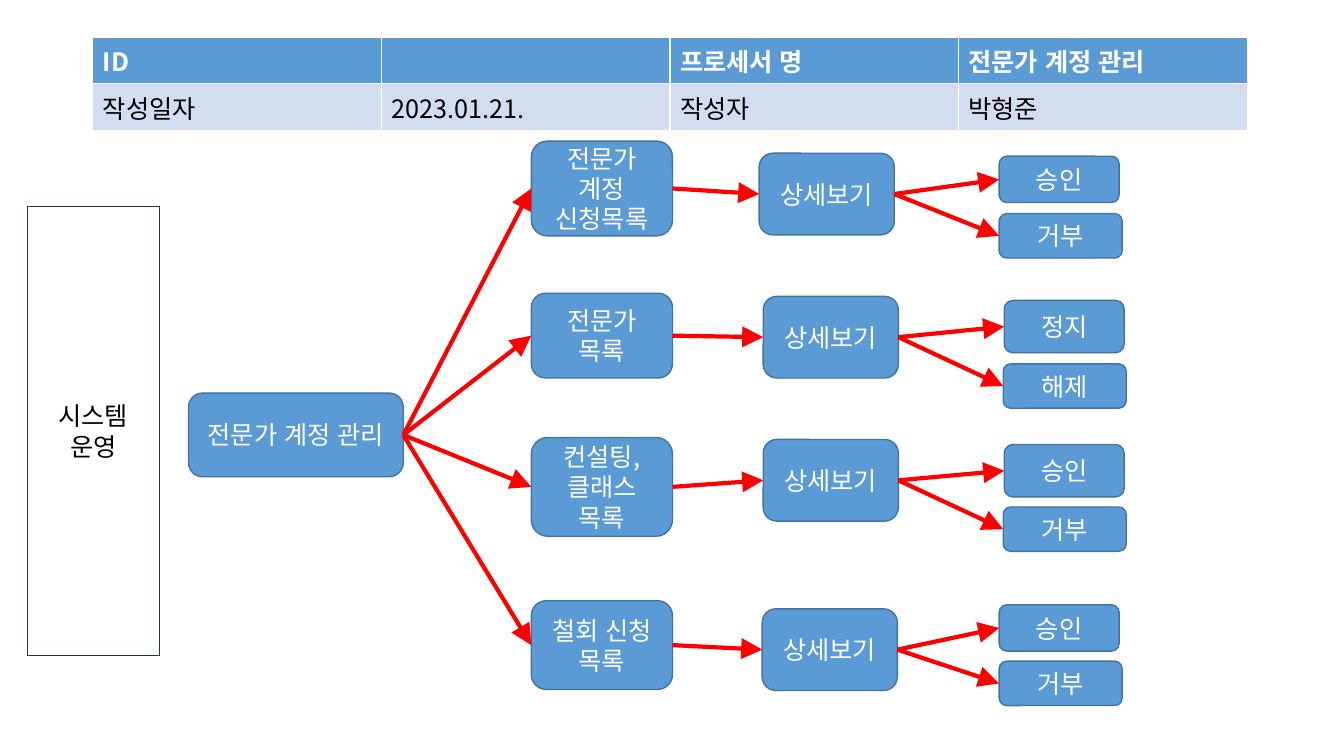
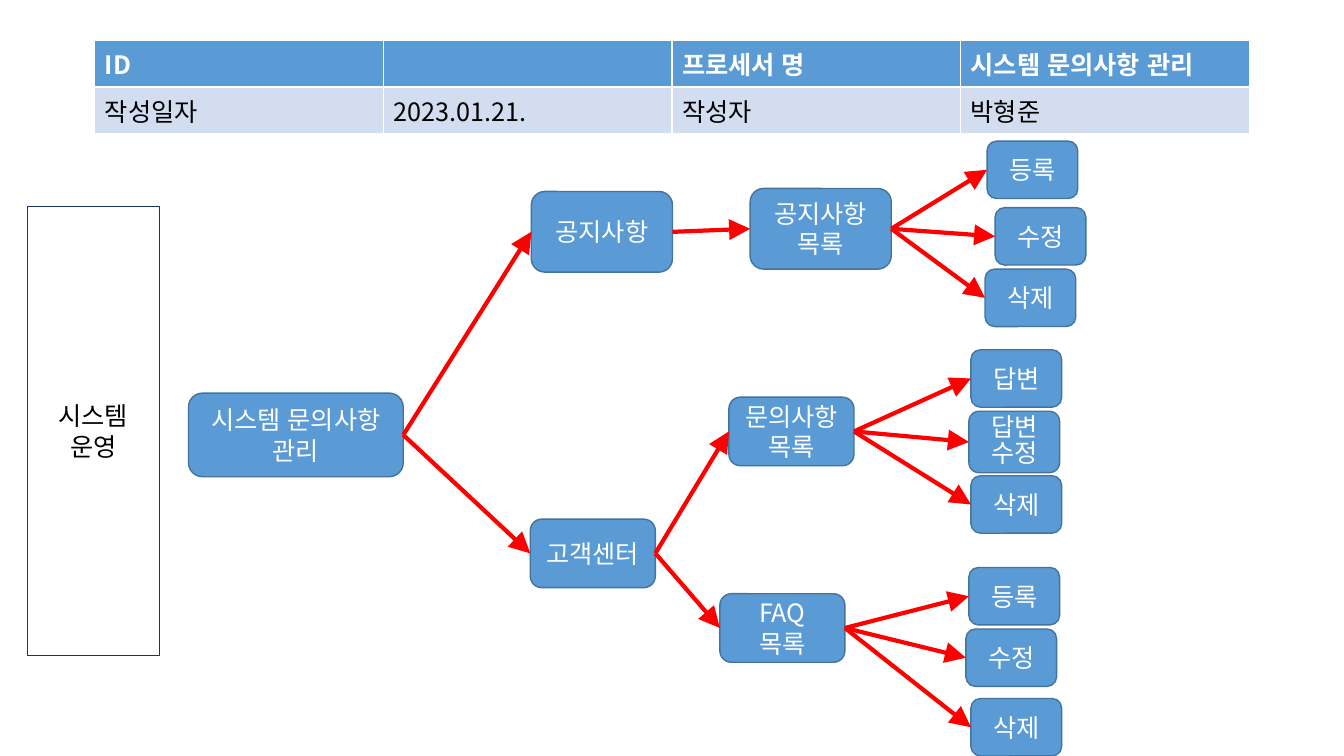
from dataclasses import dataclass

from lxml.etree import SubElement
from pptx import Presentation
from pptx.dml.color import RGBColor
from pptx.enum.lang import MSO_LANGUAGE_ID as Language
from pptx.enum.shapes import MSO_CONNECTOR as Connector, MSO_SHAPE as Shape
from pptx.enum.text import MSO_ANCHOR as Anchor, PP_ALIGN as Align
from pptx.oxml.ns import qn
from pptx.util import Inches, Pt


@dataclass(frozen=True)
class Theme:
    font: str = "Noto Sans CJK KR"
    text_size: int = 18
    white: str = "FFFFFF"
    black: str = "000000"
    blue: str = "5B9BD5"
    pale_blue: str = "D2DEEF"
    box_line: str = "43739E"
    frame_line: str = "1C335D"
    arrow: str = "FF0000"
    box_line_width: int = 1
    arrow_width: int = 3


THEME = Theme()
RIGHT_SIDE, LEFT_SIDE = 3, 1

# Box sizes: width, height
ROOT_SIZE = (2.13, 0.83)
DETAIL_SIZE = (1.34, 0.81)
REJECT_SIZE = (1.22, 0.44)
NOTICE_SIZE = (1.4, 0.8)
SUPPORT_SIZE = (1.24, 0.68)
ACTION_SIZE = (0.9, 0.57)
TWO_LINE_ACTION_SIZE = (0.9, 0.61)


@dataclass(frozen=True)
class Node:
    text: str
    left: float
    top: float
    size: tuple
    children: tuple = ()
    line_spacing: float = 1.0


def style_text(para, color, bold=False):
    font = para.font
    font.name = THEME.font
    font.size = Pt(THEME.text_size)
    font.bold = bold
    font.color.rgb = RGBColor.from_string(color)
    font.language_id = Language.KOREAN
    properties = para._p.pPr.find(qn("a:defRPr"))
    SubElement(properties, qn("a:ea"), typeface=THEME.font)


def add_box(page, kind, node, fill, line, line_width, color):
    box = page.shapes.add_shape(
        kind, *map(Inches, (node.left, node.top, *node.size)))
    box.shadow.inherit = False
    box.fill.solid()
    box.fill.fore_color.rgb = RGBColor.from_string(fill)
    box.line.color.rgb = RGBColor.from_string(line)
    box.line.width = Pt(line_width)
    frame = box.text_frame
    frame.word_wrap = True
    frame.margin_top = frame.margin_bottom = 0
    frame.vertical_anchor = Anchor.MIDDLE
    para = frame.paragraphs[0]
    para.text = node.text
    para.alignment = Align.CENTER
    para.line_spacing = node.line_spacing
    style_text(para, color)
    return box


def add_arrow(page, source, target):
    arrow = page.shapes.add_connector(Connector.STRAIGHT, 0, 0, 0, 0)
    arrow.begin_connect(source, RIGHT_SIDE)
    arrow.end_connect(target, LEFT_SIDE)
    arrow.line.color.rgb = RGBColor.from_string(THEME.arrow)
    arrow.line.width = Pt(THEME.arrow_width)
    SubElement(arrow.line._ln, qn("a:tailEnd"),
               type="triangle", w="lg", len="lg")
    SubElement(arrow._element.spPr, qn("a:effectLst"))


def add_tree(page, node):
    """Draw a node and everything that follows from it; return its box."""
    box = add_box(page, Shape.ROUNDED_RECTANGLE, node, THEME.blue,
                  THEME.box_line, THEME.box_line_width, THEME.white)
    for child in node.children:
        add_arrow(page, box, add_tree(page, child))
    return box


def add_header_table(page, left, top, process_name):
    rows = (("ID", "", "프로세서 명", process_name),
            ("작성일자", "2023.01.21.", "작성자", "박형준"))
    row_styles = ((THEME.blue, THEME.white, True),
                  (THEME.pale_blue, THEME.black, False))
    table = page.shapes.add_table(
        2, 4, *map(Inches, (left, top, 11.45, 0.84))).table
    for row, height in zip(table.rows, (0.43, 0.41)):
        row.height = Inches(height)
    for r, (texts, (fill, color, bold)) in enumerate(zip(rows, row_styles)):
        for c, text in enumerate(texts):
            cell = table.cell(r, c)
            cell.fill.solid()
            cell.fill.fore_color.rgb = RGBColor.from_string(fill)
            para = cell.text_frame.paragraphs[0]
            para.text = text
            style_text(para, color, bold)


def add_process_page(deck, table_left, table_top, process_name, branches):
    page = deck.slides.add_slide(deck.slide_layouts[6])
    add_header_table(page, table_left, table_top, process_name)
    area = Node("시스템\n운영", 0.27, 2.05, (1.31, 4.45))
    add_box(page, Shape.RECTANGLE, area, THEME.white,
            THEME.frame_line, 0, THEME.black)
    add_tree(page, Node(process_name, 1.87, 3.9, ROOT_SIZE, branches))


def account_branch(text, top, height, detail_at, accept, reject):
    """List box, its detail box and two outcomes, each (text, left, top[, height])."""
    accept_text, accept_left, accept_top, accept_height = accept
    outcomes = (Node(accept_text, accept_left, accept_top, (1.19, accept_height)),
                Node(*reject, REJECT_SIZE))
    detail = Node("상세보기", *detail_at, DETAIL_SIZE, outcomes)
    return Node(text, 5.27, top, (1.4, height), (detail,))


def action(text, left, top):
    return Node(text, left, top, ACTION_SIZE)


def account_branches():
    return (
        account_branch("전문가 계정 신청목록", 1.4, 0.94, (7.53, 1.52),
                       ("승인", 9.91, 1.55, 0.46), ("거부", 9.91, 2.12)),
        account_branch("전문가 목록", 2.91, 0.84, (7.57, 2.94),
                       ("정지", 9.96, 2.98, 0.52), ("해제", 9.95, 3.61)),
        account_branch("컨설팅, 클래스 목록", 4.34, 0.98, (7.57, 4.36),
                       ("승인", 9.96, 4.41, 0.52), ("거부", 9.95, 5.03)),
        account_branch("철회 신청 목록", 5.96, 0.88, (7.56, 6.04),
                       ("승인", 9.91, 6, 0.46), ("거부", 9.91, 6.56)),
    )


def inquiry_branches():
    notices = Node("공지사항 목록", 7.44, 1.87, NOTICE_SIZE, (
        action("등록", 9.79, 1.4),
        action("수정", 9.87, 2.06),
        action("삭제", 9.77, 2.67)))
    inquiries = Node("문의사항목록", 7.23, 3.94, SUPPORT_SIZE, (
        action("답변", 9.63, 3.47),
        Node("답변수정", 9.61, 4.08, TWO_LINE_ACTION_SIZE, line_spacing=0.85),
        action("삭제", 9.63, 4.72)))
    questions = Node("FAQ 목록", 7.14, 5.89, SUPPORT_SIZE, (
        action("등록", 9.61, 5.63),
        action("수정", 9.58, 6.24),
        action("삭제", 9.63, 6.93)))
    return (Node("공지사항", 5.27, 1.9, NOTICE_SIZE, (notices,)),
            Node("고객센터", 5.26, 5.15, SUPPORT_SIZE, (inquiries, questions)))


def main():
    deck = Presentation()
    deck.slide_width, deck.slide_height = Inches(13.33), Inches(7.5)
    add_process_page(deck, 0.92, 0.37, "전문가 계정 관리", account_branches())
    add_process_page(deck, 0.94, 0.4, "시스템 문의사항 관리", inquiry_branches())
    deck.save("out.pptx")


if __name__ == "__main__":
    main()
